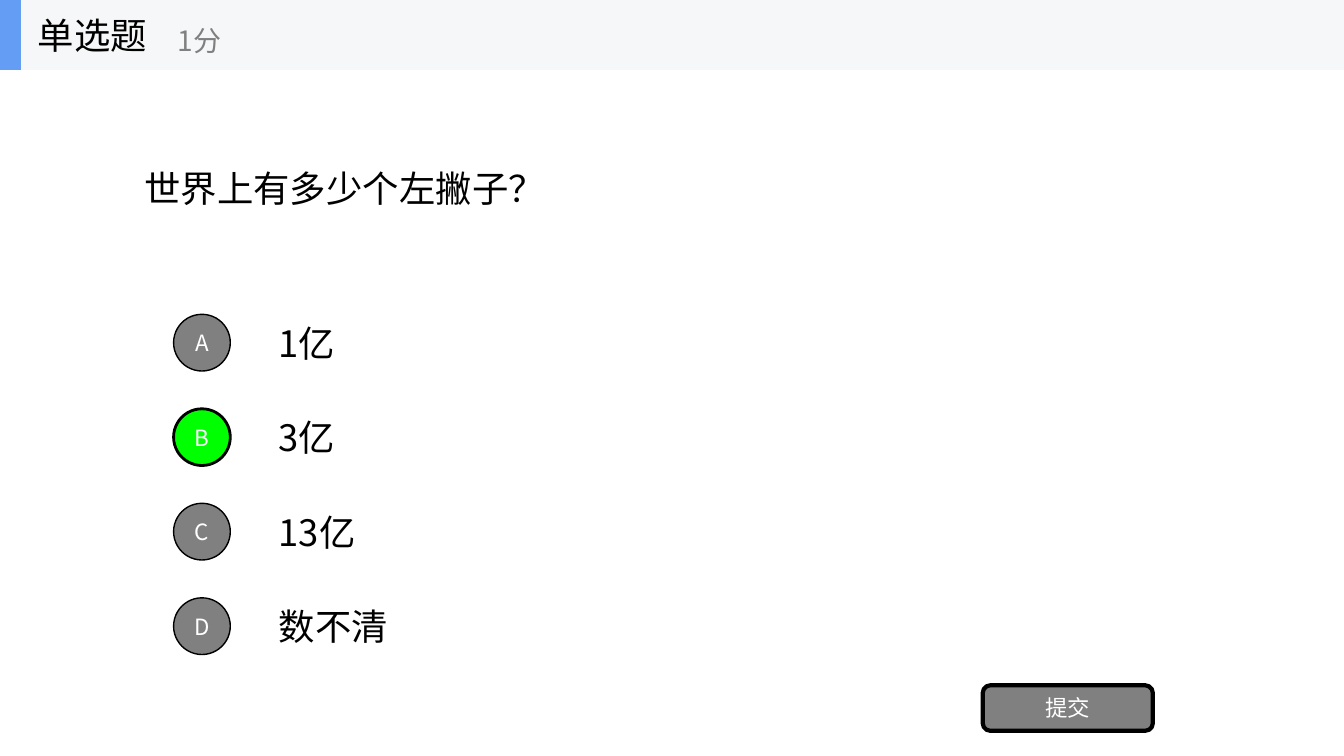
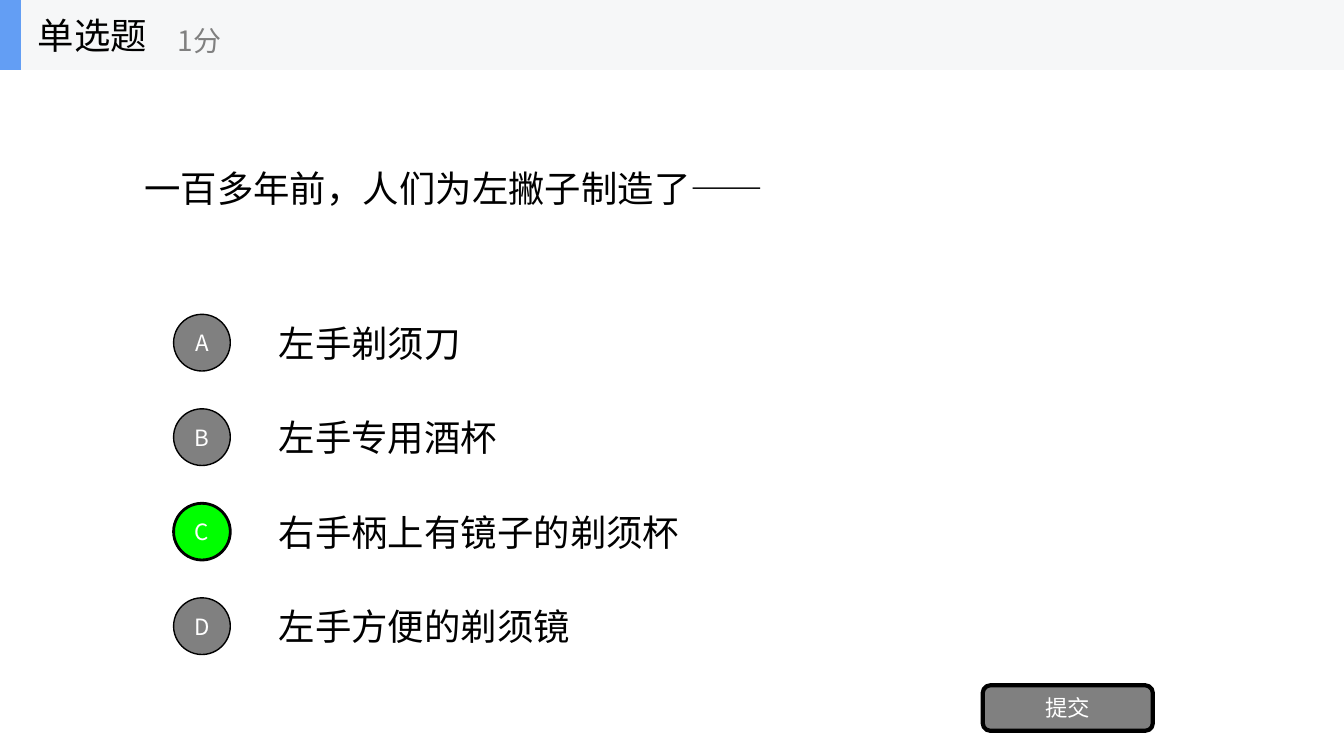
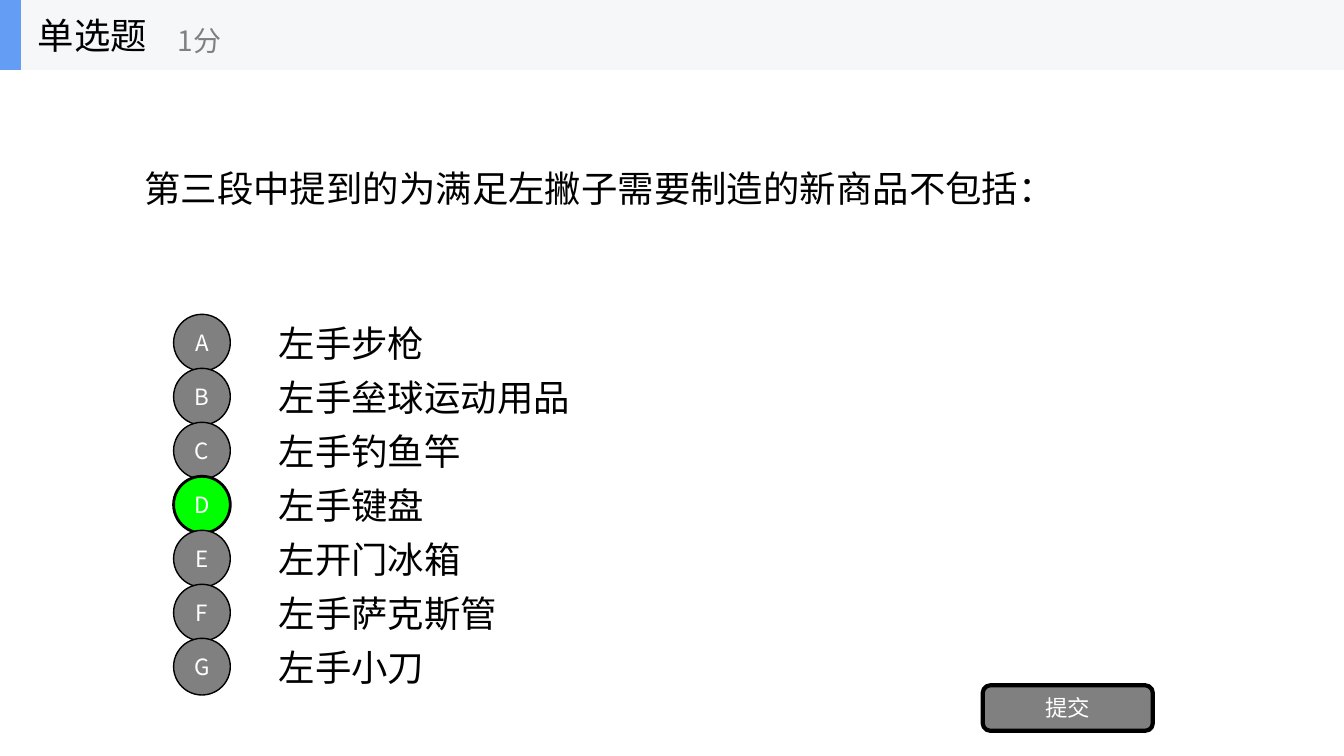
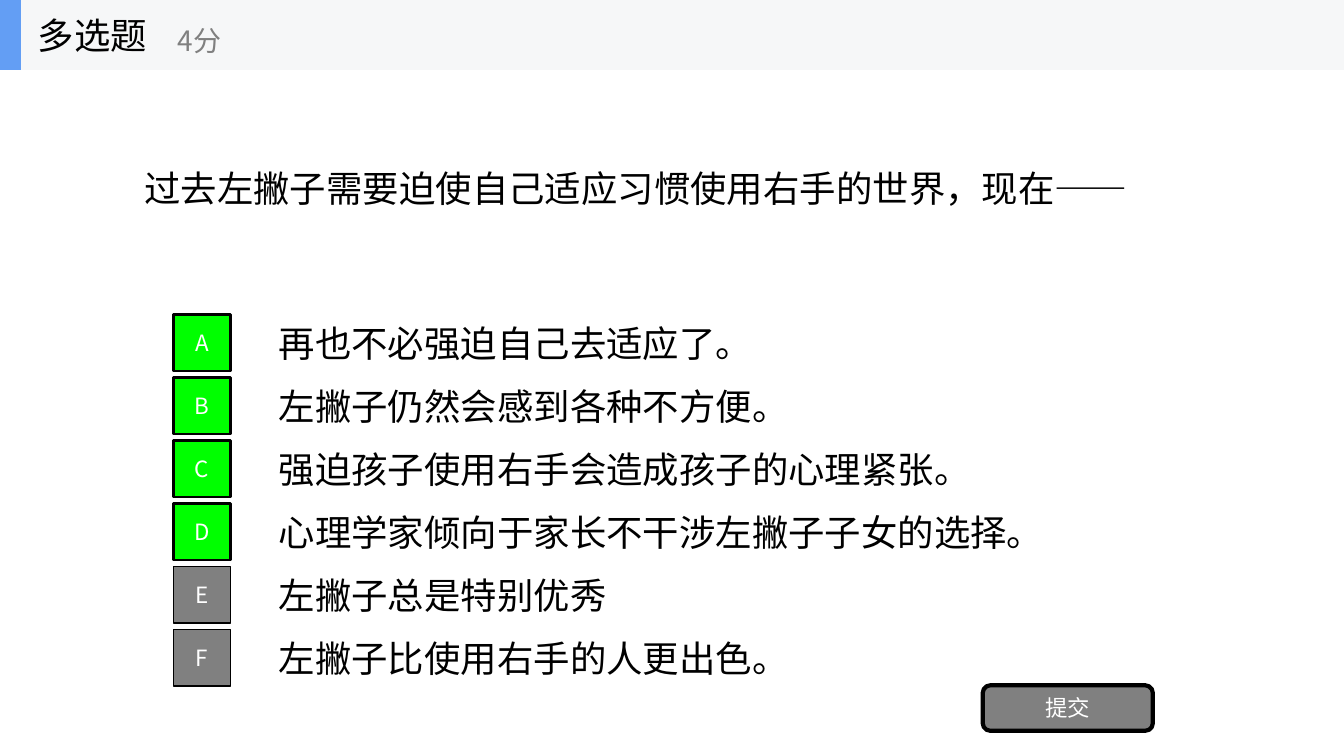
"""Build a four-slide quiz deck with single and multiple choice questions."""
from dataclasses import dataclass

from lxml.etree import SubElement
from pptx import Presentation
from pptx.dml.color import RGBColor
from pptx.enum.shapes import MSO_SHAPE
from pptx.enum.text import MSO_ANCHOR, PP_ALIGN
from pptx.oxml.ns import qn
from pptx.shapes.autoshape import Shape
from pptx.shapes.shapetree import GroupShapes, SlideShapes
from pptx.slide import Slide
from pptx.util import Pt

FONT = "Noto Sans CJK SC"
BLACK = RGBColor(0x00, 0x00, 0x00)
WHITE = RGBColor(0xFF, 0xFF, 0xFF)
GRAY = RGBColor(0x80, 0x80, 0x80)
GREEN = RGBColor(0x00, 0xFF, 0x00)
BLUE = RGBColor(0x63, 0x9E, 0xF4)
PALE = RGBColor(0xF6, 0xF7, 0xF8)

WIDTH, HEIGHT = 960, 540
BAND = 50
TOP, SPAN = 219.5, 270
ROW, BADGE = 50.5, 40.5

Tree = SlideShapes | GroupShapes


@dataclass(frozen=True)
class Box:
    left: float
    top: float
    width: float
    height: float

    def points(self) -> tuple[Pt, Pt, Pt, Pt]:
        return Pt(self.left), Pt(self.top), Pt(self.width), Pt(self.height)


@dataclass(frozen=True)
class Quiz:
    title: str
    score: str
    question: str
    options: tuple[str, ...]
    answers: str
    badge: MSO_SHAPE = MSO_SHAPE.OVAL


QUIZZES = (
    Quiz("单选题", "1分", "世界上有多少个左撇子？",
         ("1亿", "3亿", "13亿", "数不清"), "B"),
    Quiz("单选题", "1分", "一百多年前，人们为左撇子制造了——",
         ("左手剃须刀", "左手专用酒杯", "右手柄上有镜子的剃须杯",
          "左手方便的剃须镜"), "C"),
    Quiz("单选题", "1分", "第三段中提到的为满足左撇子需要制造的新商品不包括：",
         ("左手步枪", "左手垒球运动用品", "左手钓鱼竿", "左手键盘",
          "左开门冰箱", "左手萨克斯管", "左手小刀"), "D"),
    Quiz("多选题", "4分", "过去左撇子需要迫使自己适应习惯使用右手的世界，现在——",
         ("再也不必强迫自己去适应了。", "左撇子仍然会感到各种不方便。",
          "强迫孩子使用右手会造成孩子的心理紧张。",
          "心理学家倾向于家长不干涉左撇子子女的选择。",
          "左撇子总是特别优秀", "左撇子比使用右手的人更出色。"),
         "ABCD", MSO_SHAPE.RECTANGLE),
)


def write(shape: Shape, text: str, size: float, color: RGBColor,
          align: PP_ALIGN = PP_ALIGN.LEFT) -> None:
    frame = shape.text_frame
    frame.word_wrap = True
    frame.vertical_anchor = MSO_ANCHOR.MIDDLE
    para = frame.paragraphs[0]
    para.text = text
    para.alignment = align
    font = para.font
    font.size = Pt(size)
    font.color.rgb = color
    font.name = FONT
    props = para._p.pPr.find(qn("a:defRPr"))
    SubElement(props, qn("a:ea")).set("typeface", FONT)


def label(tree: Tree, box: Box, text: str, size: float = 26,
          color: RGBColor = BLACK) -> None:
    write(tree.add_textbox(*box.points()), text, size, color)


def block(tree: Tree, kind: MSO_SHAPE, box: Box, fill: RGBColor) -> Shape:
    shape = tree.add_shape(kind, *box.points())
    shape.shadow.inherit = False
    shape.fill.solid()
    shape.fill.fore_color.rgb = fill
    shape.line.fill.background()
    return shape


def button(tree: Tree, kind: MSO_SHAPE, box: Box, text: str,
           fill: RGBColor, line: float) -> None:
    shape = block(tree, kind, box, fill)
    shape.line.color.rgb = BLACK
    shape.line.width = Pt(line)
    frame = shape.text_frame
    frame.margin_left = frame.margin_right = Pt(0)
    frame.margin_top = frame.margin_bottom = Pt(0)
    write(shape, text, 16, WHITE, PP_ALIGN.CENTER)


def header(slide: Slide, quiz: Quiz) -> None:
    tree = slide.shapes.add_group_shape().shapes
    block(tree, MSO_SHAPE.RECTANGLE, Box(0, 0, WIDTH, BAND), PALE)
    block(tree, MSO_SHAPE.RECTANGLE, Box(0, 0, 15, BAND), BLUE)
    label(tree, Box(20, 0, 150, BAND), quiz.title)
    label(tree, Box(120, 8.75, 180, 40.5), quiz.score, 20, GRAY)


def choices(slide: Slide, quiz: Quiz) -> None:
    pitch = SPAN / len(quiz.options)
    inset = (ROW - BADGE) / 2
    for row, (mark, text) in enumerate(zip("ABCDEFG", quiz.options)):
        top = TOP + row * pitch
        right = mark in quiz.answers
        label(slide.shapes, Box(192, top, 672, ROW), text)
        button(slide.shapes, quiz.badge, Box(124, top + inset, BADGE, BADGE),
               mark, GREEN if right else GRAY, 2 if right else 1)


def build(slide: Slide, quiz: Quiz) -> None:
    label(slide.shapes, Box(96, BAND, 768, 168.5), quiz.question)
    choices(slide, quiz)
    button(slide.shapes, MSO_SHAPE.ROUNDED_RECTANGLE,
           Box(702, 489.5, 121.5, 32.5), "提交", GRAY, 3)
    header(slide, quiz)


def main() -> None:
    deck = Presentation()
    deck.slide_width, deck.slide_height = Pt(WIDTH), Pt(HEIGHT)
    for quiz in QUIZZES:
        build(deck.slides.add_slide(deck.slide_layouts[6]), quiz)
    deck.save("out.pptx")


if __name__ == "__main__":
    main()
